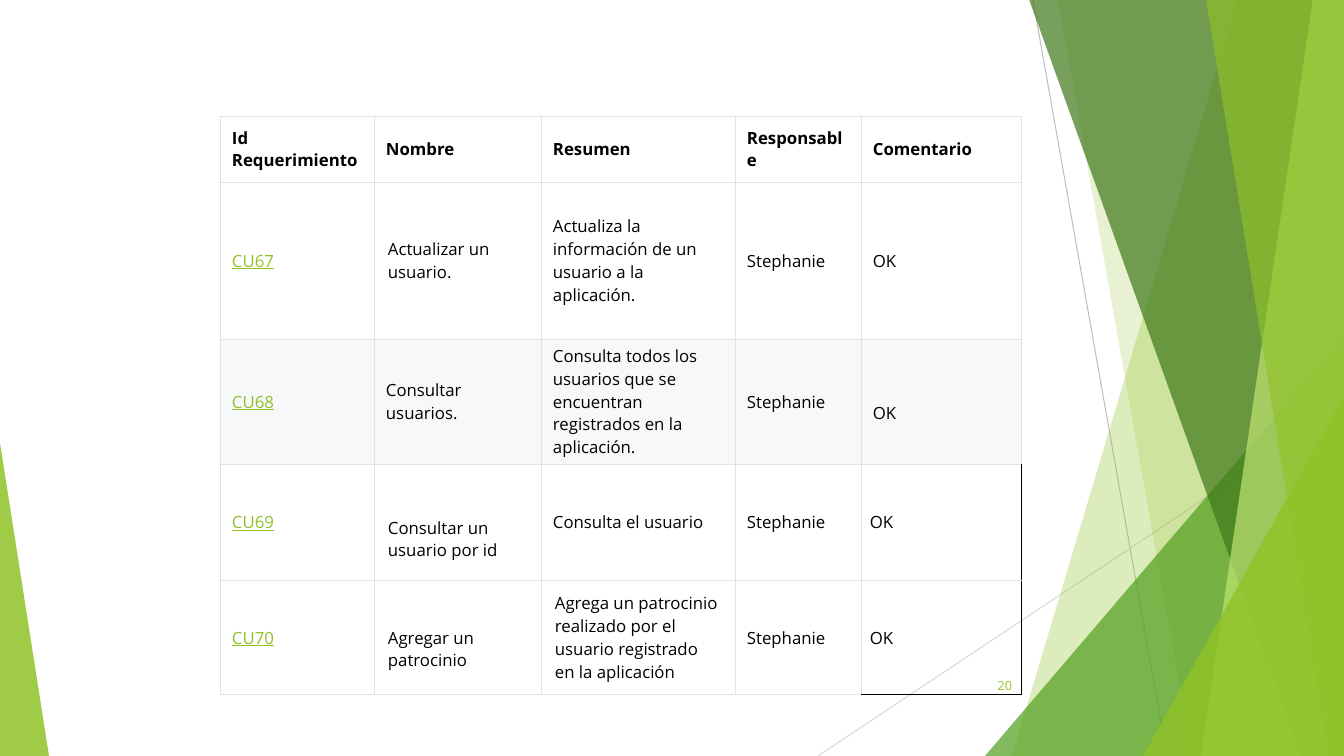
from lxml.etree import SubElement
from pptx import Presentation
from pptx.dml.color import RGBColor
from pptx.enum.shapes import MSO_CONNECTOR, MSO_SHAPE
from pptx.enum.text import MSO_ANCHOR, PP_ALIGN
from pptx.oxml.ns import qn
from pptx.util import Pt

EMU_PER_PIXEL = 12192000 / 1344
WIDTH, HEIGHT = 1344, 756
FONT = "Open Sans"
COLORS = {
    "lime": "90C226", "green": "54A021", "forest": "3F7819", "pale": "C0E474",
    "line": "BFBFBF", "light_line": "D9D9D9", "border": "DFE2E5",
    "white": "FFFFFF", "band": "F6F8FA", "black": "000000",
}

COLUMN_WIDTHS = [154, 167, 194, 126, 161]
ROW_HEIGHTS = [66, 157, 125, 116, 115]
HEADERS = ["Id Requerimiento", "Nombre", "Resumen", "Responsable", "Comentario"]
REQUIREMENTS = [
    ["CU67", "Actualizar un usuario.",
     "Actualiza la información de un usuario a la aplicación.", "Stephanie", "OK"],
    ["CU68", "Consultar usuarios.",
     "Consulta todos los usuarios que se encuentran registrados en la aplicación.",
     "Stephanie", "OK"],
    ["CU69", "Consultar un usuario por id", "Consulta el usuario", "Stephanie", "OK"],
    ["CU70", "Agregar un patrocinio",
     "Agrega un patrocinio realizado por el usuario registrado en la aplicación",
     "Stephanie", "OK"],
]
# Cells by (row, column) that differ from the usual padding
WIDE_CELLS = {(1, 1), (3, 1), (4, 1), (4, 2)}
OPEN_CELLS = {(3, 4), (4, 4)}
EXTRA_TOP = {(2, 4): 23, (3, 1): 34, (4, 1): 23}


def px(pixels):
    return round(pixels * EMU_PER_PIXEL)


def rgb(name):
    return RGBColor.from_string(COLORS[name])


def add_run(paragraph, text, size, color, bold=False, underline=False):
    run = paragraph.add_run()
    run.text = text
    font = run.font
    font.name, font.size = FONT, Pt(size)
    font.bold, font.underline = bold, underline
    font.color.rgb = rgb(color)


def add_line(slide, start, end, color):
    line = slide.shapes.add_connector(
        MSO_CONNECTOR.STRAIGHT, *map(px, start), *map(px, end))
    line.line.color.rgb = rgb(color)
    line.line.width = Pt(0.75)
    SubElement(line._element.spPr, qn("a:effectLst"))


def paint(shape, color, opacity):
    shape.shadow.inherit = False
    shape.line.fill.background()
    shape.fill.solid()
    shape.fill.fore_color.rgb = rgb(color)
    color_element = shape._element.spPr.find(f"{qn('a:solidFill')}/{qn('a:srgbClr')}")
    SubElement(color_element, qn("a:alpha"), val=str(opacity * 1000))


def add_shard(slide, top_left, bottom_left, color, opacity):
    """Band from a slanted left edge to the right side of the slide."""
    builder = slide.shapes.build_freeform(top_left, -1, scale=EMU_PER_PIXEL)
    builder.add_line_segments(
        [(WIDTH, -1), (WIDTH, HEIGHT), (bottom_left, HEIGHT)], close=True)
    paint(builder.convert_to_shape(), color, opacity)


def add_triangle(slide, left, top, width, apex, color, opacity):
    """Triangle standing on the bottom edge of the slide."""
    shape = slide.shapes.add_shape(
        MSO_SHAPE.ISOSCELES_TRIANGLE, px(left), px(top), px(width), px(HEIGHT - top))
    shape.adjustments[0] = apex
    paint(shape, color, opacity)


def add_decoration(slide):
    add_line(slide, (1033, 0), (1167, HEIGHT), "line")
    add_line(slide, (WIDTH, 406), (818, HEIGHT), "light_line")
    add_shard(slide, 1238, 1012, "lime", 30)
    add_shard(slide, 1058, 1192, "lime", 20)
    add_triangle(slide, 985, 336, 359, 1, "green", 72)
    add_shard(slide, 1029, 1301, "forest", 70)
    add_shard(slide, 1313, 1201, "pale", 70)
    add_shard(slide, 1206, 1329, "lime", 65)
    add_triangle(slide, 1143, 396, 201, 1, "lime", 80)
    add_triangle(slide, 0, 443, 49, 0, "lime", 85)


def add_page_number(slide, number):
    box = slide.shapes.add_textbox(px(947), px(666), px(75), px(40))
    frame = box.text_frame
    frame.word_wrap = True
    frame.vertical_anchor = MSO_ANCHOR.MIDDLE
    paragraph = frame.paragraphs[0]
    paragraph.alignment = PP_ALIGN.RIGHT
    add_run(paragraph, number, 9, "lime")


def set_borders(cell, colors):
    properties = cell._tc.get_or_add_tcPr()
    for side, color in colors.items():
        line = SubElement(properties, qn(f"a:ln{side}"), w=str(Pt(0.75)))
        fill = SubElement(line, qn("a:solidFill"))
        SubElement(fill, qn("a:srgbClr"), val=COLORS[color])


def set_padding(cell, place):
    if place in OPEN_CELLS:
        side, edge = 9, 4
    elif place in WIDE_CELLS:
        side, edge = 14, 6
    else:
        side, edge = 12, 5
    cell.margin_left = cell.margin_right = px(side)
    cell.margin_top = px(edge + EXTRA_TOP.get(place, 0))
    cell.margin_bottom = px(edge)


def fill_cell(cell, place, text):
    row, column = place
    borders = dict.fromkeys("LRTB", "border")
    if place in OPEN_CELLS:
        borders["R"] = "black"
        if row == len(REQUIREMENTS):
            borders["B"] = "black"
    set_borders(cell, borders)
    if place in OPEN_CELLS:
        cell.fill.background()
    else:
        cell.fill.solid()
        cell.fill.fore_color.rgb = rgb("band" if row == 2 else "white")
    set_padding(cell, place)
    cell.vertical_anchor = MSO_ANCHOR.MIDDLE
    is_code = row > 0 and column == 0
    add_run(cell.text_frame.paragraphs[0], text, 12,
            "lime" if is_code else "black", bold=row == 0, underline=is_code)


def add_requirements_table(slide):
    rows = [HEADERS] + REQUIREMENTS
    table = slide.shapes.add_table(
        len(rows), len(HEADERS), px(220), px(116),
        px(sum(COLUMN_WIDTHS)), px(sum(ROW_HEIGHTS))).table
    table.first_row = table.horz_banding = False
    for column, width in zip(table.columns, COLUMN_WIDTHS):
        column.width = px(width)
    for row, height in zip(table.rows, ROW_HEIGHTS):
        row.height = px(height)
    for row_index, texts in enumerate(rows):
        for column_index, text in enumerate(texts):
            place = (row_index, column_index)
            fill_cell(table.cell(*place), place, text)


def main():
    presentation = Presentation()
    presentation.slide_width, presentation.slide_height = px(WIDTH), px(HEIGHT)
    slide = presentation.slides.add_slide(presentation.slide_layouts[6])
    add_decoration(slide)
    add_page_number(slide, "20")
    add_requirements_table(slide)
    presentation.save("out.pptx")


main()
